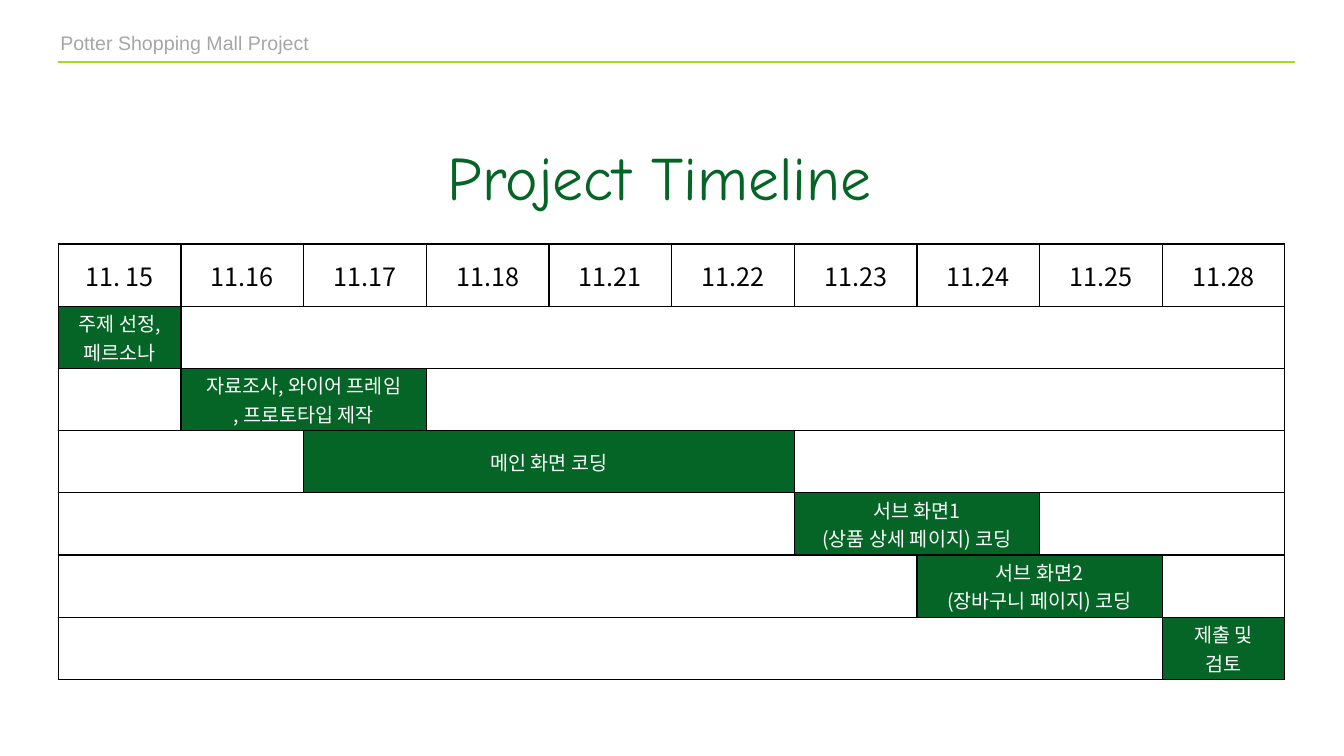
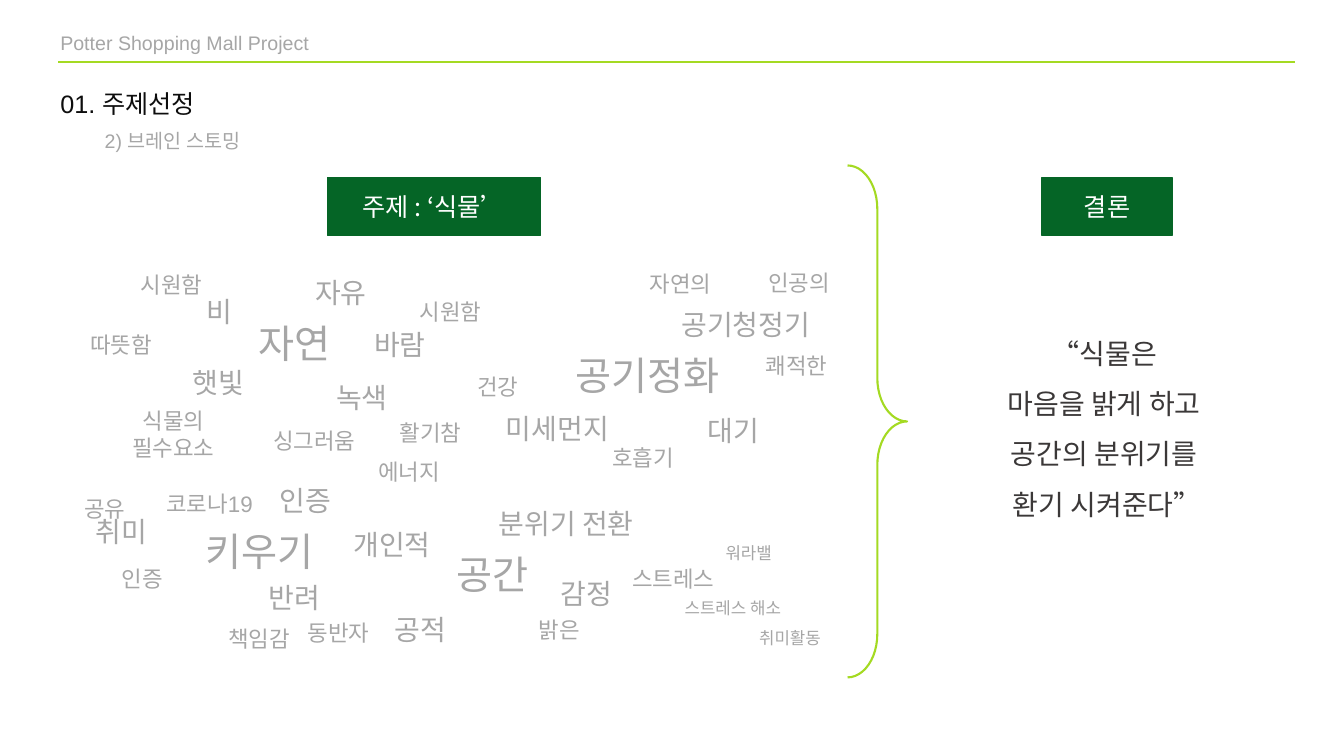
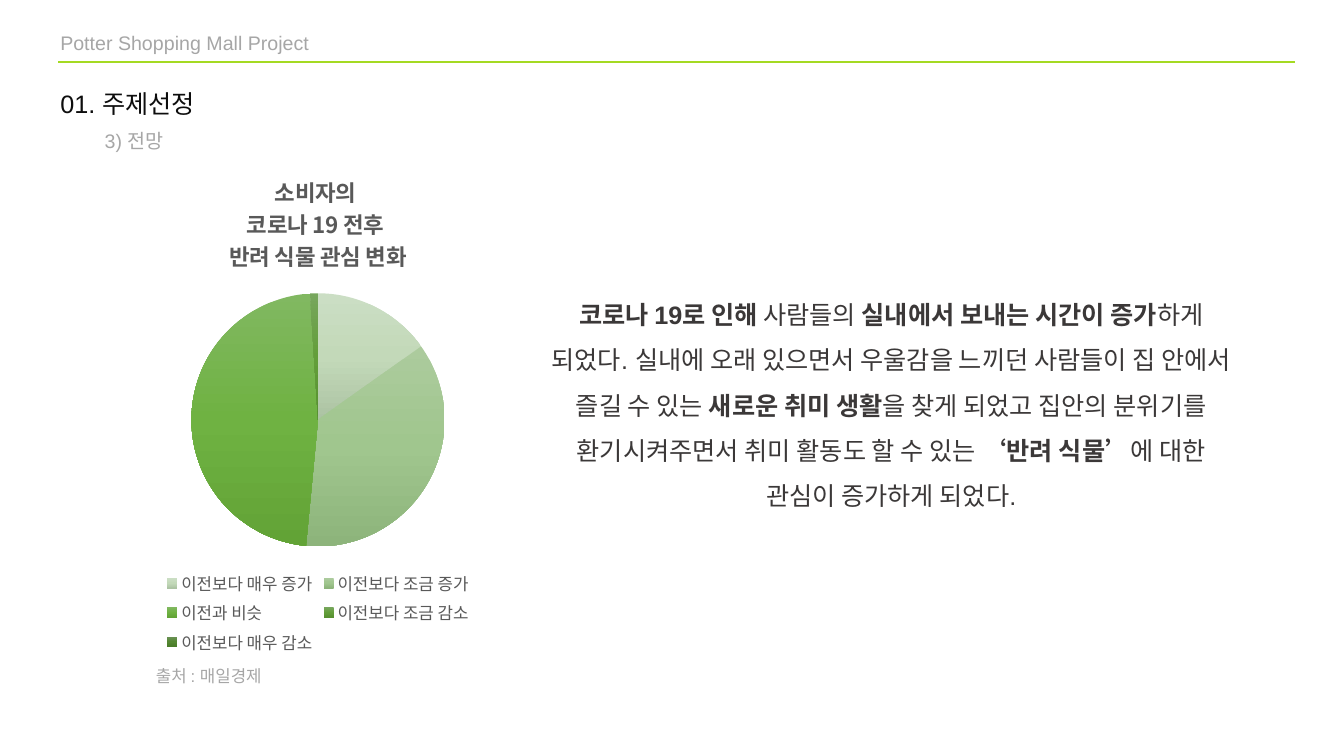
from copy import deepcopy

from lxml import etree
from pptx import Presentation
from pptx.chart.data import CategoryChartData
from pptx.dml.color import RGBColor
from pptx.enum.chart import XL_CHART_TYPE, XL_LEGEND_POSITION
from pptx.enum.shapes import MSO_CONNECTOR, MSO_SHAPE
from pptx.enum.text import MSO_ANCHOR, PP_ALIGN
from pptx.oxml import parse_xml
from pptx.oxml.ns import nsdecls, qn
from pptx.util import Cm, Pt

PIE = XL_CHART_TYPE.PIE
LEGEND_BOTTOM = XL_LEGEND_POSITION.BOTTOM
STRAIGHT = MSO_CONNECTOR.STRAIGHT
RECTANGLE, RIGHT_BRACE = MSO_SHAPE.RECTANGLE, MSO_SHAPE.RIGHT_BRACE
LEFT, CENTER = PP_ALIGN.LEFT, PP_ALIGN.CENTER
TOP, MIDDLE = MSO_ANCHOR.TOP, MSO_ANCHOR.MIDDLE

GREEN = RGBColor(0x05, 0x65, 0x26)
LIME = RGBColor(0xA4, 0xDA, 0x22)
GRAY = RGBColor(0xA6, 0xA6, 0xA6)
DARK = RGBColor(0x3B, 0x38, 0x38)
CHART_TEXT = RGBColor(0x59, 0x59, 0x59)
NEAR_BLACK = RGBColor(0x0D, 0x0D, 0x0D)
BLACK = RGBColor(0, 0, 0)
WHITE = RGBColor(0xFF, 0xFF, 0xFF)

SANS, TITLE_FONT, KOREAN = "Arial", "Comic Neue", "Noto Sans CJK KR"

# Content
HEADER = "Potter Shopping Mall Project"
SECTION = "01. 주제선정"

DATES = ["11. 15", "11.16", "11.17", "11.18", "11.21",
         "11.22", "11.23", "11.24", "11.25", "11.28"]
TASKS = [  # lines, first column, number of days
    (["주제 선정,", "페르소나"], 0, 1),
    (["자료조사, 와이어 프레임", ", 프로토타입 제작"], 1, 2),
    (["메인 화면 코딩"], 2, 4),
    (["서브 화면1", "(상품 상세 페이지) 코딩"], 6, 2),
    (["서브 화면2", "(장바구니 페이지) 코딩"], 7, 2),
    (["제출 및", "검토"], 9, 1),
]

WORD_HEIGHTS = {28: 1.45, 20: 1.12, 16: 0.94, 12: 0.76}
WORDS = {  # size: (word, centre, top) in cm
    28: [("자연", 7.42, 7.92), ("공간", 12.4, 13.74),
         ("공기정화", 16.33, 8.74), ("키우기", 6.53, 13.16)],
    20: [("녹색", 9.12, 9.47), ("바람", 10.08, 8.13), ("자유", 8.59, 6.81),
         ("분위기 전환", 14.27, 12.65), ("미세먼지", 14.05, 10.24),
         ("공기청정기", 18.8, 7.62), ("대기", 18.49, 10.29),
         ("감정", 14.78, 14.4), ("개인적", 9.88, 13.18),
         ("공적", 10.59, 15.32), ("반려", 7.42, 14.5), ("인증", 7.7, 12.07),
         ("햇빛", 5.51, 9.09), ("비", 5.54, 7.29), ("취미", 3.07, 12.85)],
    16: [("싱그러움", 7.92, 10.64), ("활기참", 10.85, 10.44),
         ("책임감", 6.53, 15.62), ("동반자", 8.53, 15.47),
         ("밝은", 14.1, 15.39), ("자연의", 17.15, 6.68),
         ("인공의", 20.14, 6.65), ("식물의\n필수요소", 4.37, 10.13),
         ("시원함", 11.35, 7.39), ("건강", 12.55, 9.27),
         ("호흡기", 16.21, 11.07), ("스트레스", 16.97, 14.12),
         ("인증", 3.59, 14.12), ("공유", 2.64, 12.34),
         ("코로나19", 5.28, 12.22), ("따뜻함", 3.05, 8.23),
         ("시원함", 4.32, 6.71), ("쾌적한", 20.07, 8.76),
         ("에너지", 10.31, 11.43)],
    12: [("스트레스 해소", 18.47, 14.94), ("워라밸", 18.87, 13.56),
         ("취미활동", 19.91, 15.7)],
}
LABELS = [("주제 : ‘식물’", 8.26, 5.36), ("결론", 26.26, 3.28)]
CONCLUSION = ["“식물은 ", "마음을 밝게 하고 ", "공간의 분위기를 ", "환기 시켜준다”"]

CHART_TITLE = ["소비자의 ", "코로나 19 전후 ", "반려 식물 관심 변화"]
SLICES = [  # category, value, gradient from top to bottom
    ("이전보다 매우 증가", 15, ("CBDEC4", "C3D9B9", "ACC3A3")),
    ("이전보다 조금 증가", 36, ("ACCB9D", "A0C68E", "8DB47B")),
    ("이전과 비슷", 47, ("81B861", "6FB242", "62A336")),
    ("이전보다 조금 감소", 1, ("77A65D", "639E3A", "579030")),
    ("이전보다 매우 감소", 0, ("6C9258", "548732", "4A7C29")),
]
OUTLOOK = [  # text, bold
    ("코로나 19로 인해 ", True),
    ("사람들의 ", False),
    ("실내에서 보내는 시간이 증가", True),
    ("하게 되었다. 실내에 오래 있으면서 우울감을 느끼던 사람들이 "
     "집 안에서 즐길 수 있는 ", False),
    ("새로운 취미 생활", True),
    ("을 찾게 되었고 집안의 분위기를 환기시켜주면서 "
     "취미 활동도 할 수 있는 ", False),
    ("‘반려 식물’", True),
    ("에 대한 관심이 증가하게 되었다.", False),
]


# Text helpers
def style_font(font, size, color, name, bold=False):
    font.size, font.bold, font.name = Pt(size), bold, name
    font.color.rgb = color
    east_asian = etree.SubElement(font._rPr, qn("a:ea"))
    east_asian.set("typeface", KOREAN)


def write_text(frame, paragraphs, size, color, name=SANS, align=LEFT,
               spacing=None, bold=False):
    """Each paragraph is a string or a list of (text, bold) runs."""
    for index, content in enumerate(paragraphs):
        paragraph = frame.add_paragraph() if index else frame.paragraphs[0]
        paragraph.alignment = align
        if spacing:
            paragraph.line_spacing = spacing
        runs = [(content, bold)] if isinstance(content, str) else content
        for text, run_bold in runs:
            run = paragraph.add_run()
            run.text = text
            style_font(run.font, size, color, name, run_bold)


def add_text(slide, box, paragraphs, size, color, anchor=TOP, **style):
    frame = slide.shapes.add_textbox(*map(Cm, box)).text_frame
    frame.word_wrap = True
    frame.vertical_anchor = anchor
    write_text(frame, paragraphs, size, color, **style)


# Shared parts
def new_slide(presentation, subtitle=None):
    slide = presentation.slides.add_slide(presentation.slide_layouts[6])
    add_text(slide, (1.27, 0.66, 12.37, 0.86), [HEADER], 14, GRAY)
    rule = slide.shapes.add_connector(
        STRAIGHT, Cm(1.47), Cm(1.57), Cm(32.64), Cm(1.57))
    rule.line.color.rgb = LIME
    rule.line.width = Pt(1.5)
    etree.SubElement(rule._element.spPr, qn("a:effectLst"))
    if subtitle:
        add_text(slide, (1.27, 2.11, 12.37, 1.02), [SECTION], 18, NEAR_BLACK)
        add_text(slide, (2.39, 3.12, 12.37, 0.86), [subtitle], 14, GRAY)
    return slide


def add_flat_shape(slide, kind, box, line_color, line_width):
    shape = slide.shapes.add_shape(kind, *map(Cm, box))
    shape.shadow.inherit = False
    shape.fill.background()
    shape.line.color.rgb = line_color
    shape.line.width = Pt(line_width)
    return shape


def finish_cell(cell, filled):
    cell.vertical_anchor = MIDDLE
    cell.margin_top = cell.margin_bottom = 0
    if filled:
        cell.fill.solid()
        cell.fill.fore_color.rgb = GREEN
    else:
        cell.fill.background()
    properties = cell._tc.get_or_add_tcPr()
    for index, side in enumerate(("lnL", "lnR", "lnT", "lnB")):
        properties.insert(index, parse_xml(
            f'<a:{side} {nsdecls("a")} w="{Pt(1)}"><a:solidFill>'
            f'<a:srgbClr val="{BLACK}"/></a:solidFill></a:{side}>'))


# Slides
def build_timeline(presentation):
    slide = new_slide(presentation)
    add_text(slide, (5.46, 3.38, 22.35, 2.13), ["Project Timeline"], 44,
             GREEN, name=TITLE_FONT, align=CENTER)
    row_count, column_count = len(TASKS) + 1, len(DATES)
    table = slide.shapes.add_table(
        row_count, column_count, Cm(1.47), Cm(6.15), Cm(30.91), Cm(10.97)).table
    table.first_row = table.horz_banding = False

    for column, date in enumerate(DATES):
        cell = table.cell(0, column)
        write_text(cell.text_frame, [date], 18, BLACK, KOREAN, CENTER)
        finish_cell(cell, False)
    for row, (lines, start, days) in enumerate(TASKS, 1):
        end = start + days
        for column in range(column_count):
            finish_cell(table.cell(row, column), start <= column < end)
        for first, stop in ((0, start), (start, end), (end, column_count)):
            if stop - first > 1:
                table.cell(row, first).merge(table.cell(row, stop - 1))
        write_text(table.cell(row, start).text_frame, lines, 14, WHITE,
                   KOREAN, CENTER)


def build_brainstorm(presentation):
    slide = new_slide(presentation, "2) 브레인 스토밍")
    brace = add_flat_shape(slide, RIGHT_BRACE, (21.36, 4.17, 1.5, 12.9), LIME, 1.5)
    brace.adjustments[0], brace.adjustments[1] = 0.73, 0.5

    for text, left, width in LABELS:
        label = add_flat_shape(slide, RECTANGLE, (left, 4.47, width, 1.47), GREEN, 1)
        label.fill.solid()
        label.fill.fore_color.rgb = GREEN
        label.text_frame.vertical_anchor = MIDDLE
        write_text(label.text_frame, [text], 18, WHITE, KOREAN, CENTER)

    # Word cloud
    word_width = 4.57
    for size, words in WORDS.items():
        for word, center, top in words:
            lines = word.split("\n")
            box = (center - word_width / 2, top, word_width,
                   WORD_HEIGHTS[size] * len(lines))
            add_text(slide, box, lines, size, GRAY, align=CENTER)
    add_text(slide, (23.65, 7.92, 8.51, 5.23), CONCLUSION, 20, DARK,
             align=CENTER, spacing=1.5)


def build_outlook(presentation):
    slide = new_slide(presentation, "3) 전망")
    data = CategoryChartData()
    data.categories = [category for category, _, _ in SLICES]
    data.add_series("Series 1", [value for _, value, _ in SLICES])
    chart = slide.shapes.add_chart(
        PIE, Cm(2.87), Cm(3.94), Cm(10.29), Cm(12.65), data).chart
    style_font(chart.font, 10, BLACK, KOREAN)
    chart.has_title = True
    write_text(chart.chart_title.text_frame, CHART_TITLE, 16, CHART_TEXT,
               KOREAN, CENTER, bold=True)
    chart.has_legend = True
    chart.legend.position = LEGEND_BOTTOM
    chart.legend.include_in_layout = False
    style_font(chart.legend.font, 12, CHART_TEXT, KOREAN)

    # Place of the pie, as fractions of the chart
    plot_area = chart._chartSpace.chart.plotArea
    for old_layout in plot_area.findall(qn("c:layout")):
        plot_area.remove(old_layout)
    places = "".join(f'<c:{key} val="{value}"/>' for key, value in (
        ("layoutTarget", "inner"), ("xMode", "edge"), ("yMode", "edge"),
        ("x", 0.19), ("y", 0.27), ("w", 0.62), ("h", 0.51)))
    plot_area.insert(0, parse_xml(
        f'<c:layout {nsdecls("c")}><c:manualLayout>{places}'
        '</c:manualLayout></c:layout>'))

    # Slice gradients
    plot = chart.plots[0]
    plot.vary_by_categories = True
    for index, (_, _, colors) in enumerate(SLICES):
        slice_format = plot.series[0].points[index].format
        slice_format.line.fill.background()
        fill = slice_format.fill
        fill.gradient()
        fill.gradient_angle = 270
        stop_list = fill.gradient_stops._gsLst
        stop_list.append(deepcopy(stop_list[0]))
        for order, (stop, color) in enumerate(zip(fill.gradient_stops, colors)):
            stop.position = order / 2
            stop.color.rgb = RGBColor.from_string(color)

    add_text(slide, (3.68, 16.64, 5.08, 0.76), ["출처 : 매일경제"], 12, GRAY)
    add_text(slide, (13.61, 7.01, 17.7, 6.02), [OUTLOOK], 18, DARK,
             anchor=MIDDLE, align=CENTER, spacing=1.5)


def main():
    presentation = Presentation()
    presentation.slide_width, presentation.slide_height = Cm(33.87), Cm(19.05)
    build_timeline(presentation)
    build_brainstorm(presentation)
    build_outlook(presentation)
    presentation.save("out.pptx")


if __name__ == "__main__":
    main()
